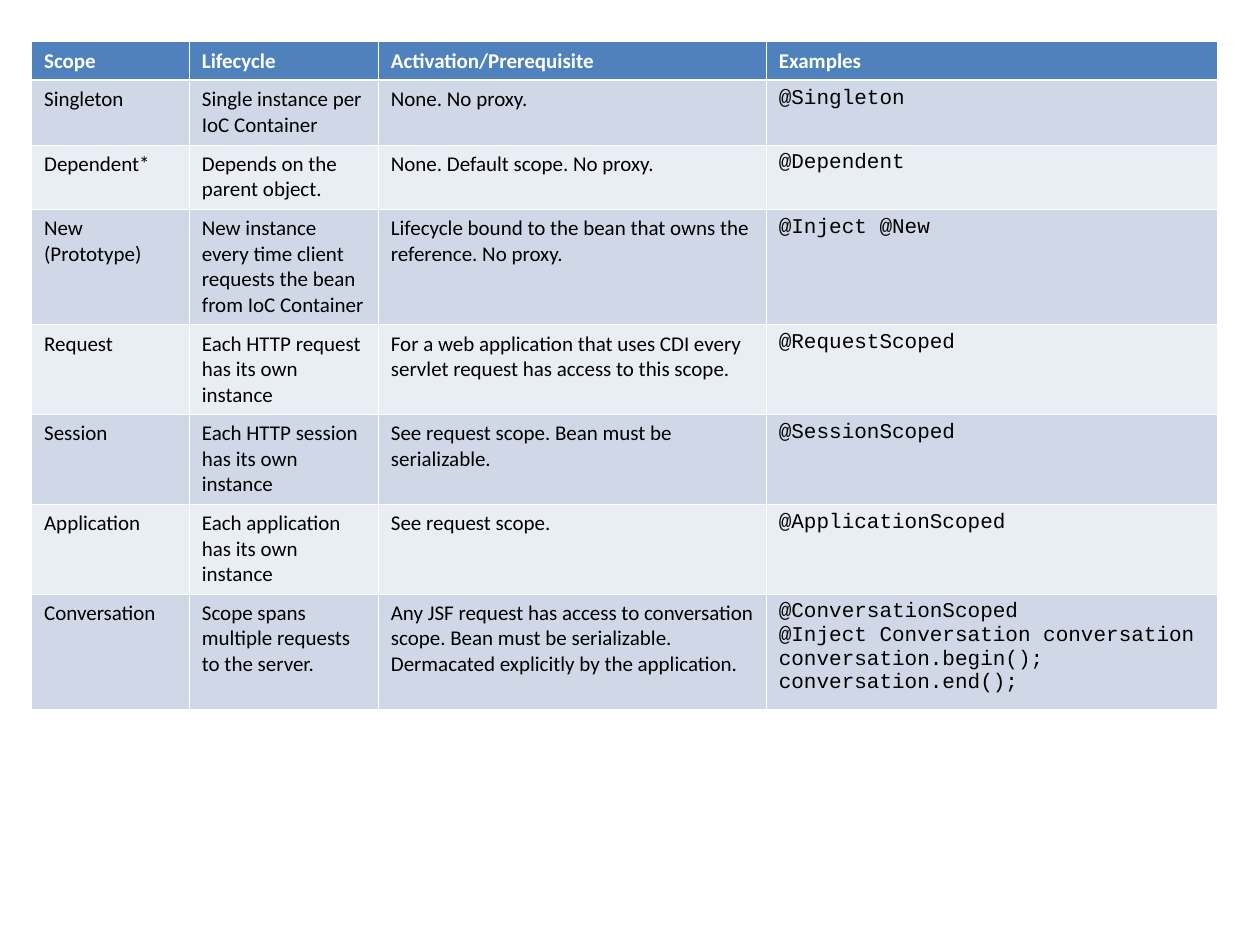
from lxml import etree
from pptx import Presentation
from pptx import util as u
from pptx.dml.color import RGBColor
from pptx.oxml.ns import qn

WHITE = "FFFFFF"
HEADER_FILL = "4F81BD"
BAND_FILLS = ("E9EDF4", "D0D8E8")
THIN, THICK = 0.45, 1.47

COLUMN_WIDTHS = (3.18, 3.81, 7.82, 9.1)
ROW_HEIGHTS = (0.78, 1.3, 1.3, 2.32, 1.8, 1.8, 1.8, 2.32)

SCOPES = (
    ("Scope", "Lifecycle", "Activation/Prerequisite", "Examples"),
    ("Singleton", "Single instance per IoC Container", "None. No proxy.", "@Singleton"),
    ("Dependent*", "Depends on the parent object.",
     "None. Default scope. No proxy.", "@Dependent"),
    ("New (Prototype)",
     "New instance every time client requests the bean from IoC Container",
     "Lifecycle bound to the bean that owns the reference. No proxy.",
     "@Inject @New"),
    ("Request", "Each HTTP request has its own instance",
     "For a web application that uses CDI every servlet request has access to this scope.",
     "@RequestScoped"),
    ("Session", "Each HTTP session has its own instance",
     "See request scope. Bean must be serializable.", "@SessionScoped"),
    ("Application", "Each application has its own instance",
     "See request scope.", "@ApplicationScoped"),
    ("Conversation", "Scope spans multiple requests to the server.",
     "Any JSF request has access to conversation scope. Bean must be serializable. "
     "Dermacated explicitly by the application.",
     "@ConversationScoped\n@Inject Conversation conversation\n"
     "conversation.begin();\nconversation.end();"),
)


def color(hex_value):
    return RGBColor.from_string(hex_value)


def set_borders(cell, top, bottom):
    properties = cell._tc.get_or_add_tcPr()
    sides = (("lnL", THIN), ("lnR", THIN), ("lnT", top), ("lnB", bottom))
    for position, (side, width) in enumerate(sides):
        line = etree.Element(qn(f"a:{side}"), w=str(u.Pt(width)))
        solid = etree.SubElement(line, qn("a:solidFill"))
        etree.SubElement(solid, qn("a:srgbClr"), val=WHITE)
        properties.insert(position, line)


def fill_cell(cell, content, fill, text_color, font_name, bold):
    cell.fill.solid()
    cell.fill.fore_color.rgb = color(fill)
    cell.margin_left = cell.margin_right = u.Cm(0.25)
    cell.margin_top = cell.margin_bottom = u.Cm(0.13)
    cell.text_frame.text = content
    for paragraph in cell.text_frame.paragraphs:
        for run in paragraph.runs:
            run.font.name = font_name
            run.font.size = u.Pt(12)
            run.font.bold = bold
            run.font.color.rgb = color(text_color)


def add_scope_table(slide):
    scope_table = slide.shapes.add_table(
        len(ROW_HEIGHTS), len(COLUMN_WIDTHS), u.Cm(0.64), u.Cm(0.84),
        u.Cm(sum(COLUMN_WIDTHS)), u.Cm(sum(ROW_HEIGHTS))).table
    for column, width in zip(scope_table.columns, COLUMN_WIDTHS):
        column.width = u.Cm(width)
    for row, height in zip(scope_table.rows, ROW_HEIGHTS):
        row.height = u.Cm(height)

    for row_index, scope in enumerate(SCOPES):
        header = row_index == 0
        fill = HEADER_FILL if header else BAND_FILLS[row_index % 2]
        text_color = WHITE if header else "000000"
        for column_index, content in enumerate(scope):
            is_code = not header and column_index == len(scope) - 1
            cell = scope_table.cell(row_index, column_index)
            fill_cell(cell, content, fill, text_color,
                      "Courier New" if is_code else "Calibri", header)
            set_borders(cell, top=THICK if row_index == 1 else THIN,
                        bottom=THICK if header else THIN)


def main():
    presentation = Presentation()
    presentation.slide_width = u.Cm(25.4)
    presentation.slide_height = u.Cm(19.05)
    slide = presentation.slides.add_slide(presentation.slide_layouts[6])
    add_scope_table(slide)
    presentation.save("out.pptx")


if __name__ == "__main__":
    main()
